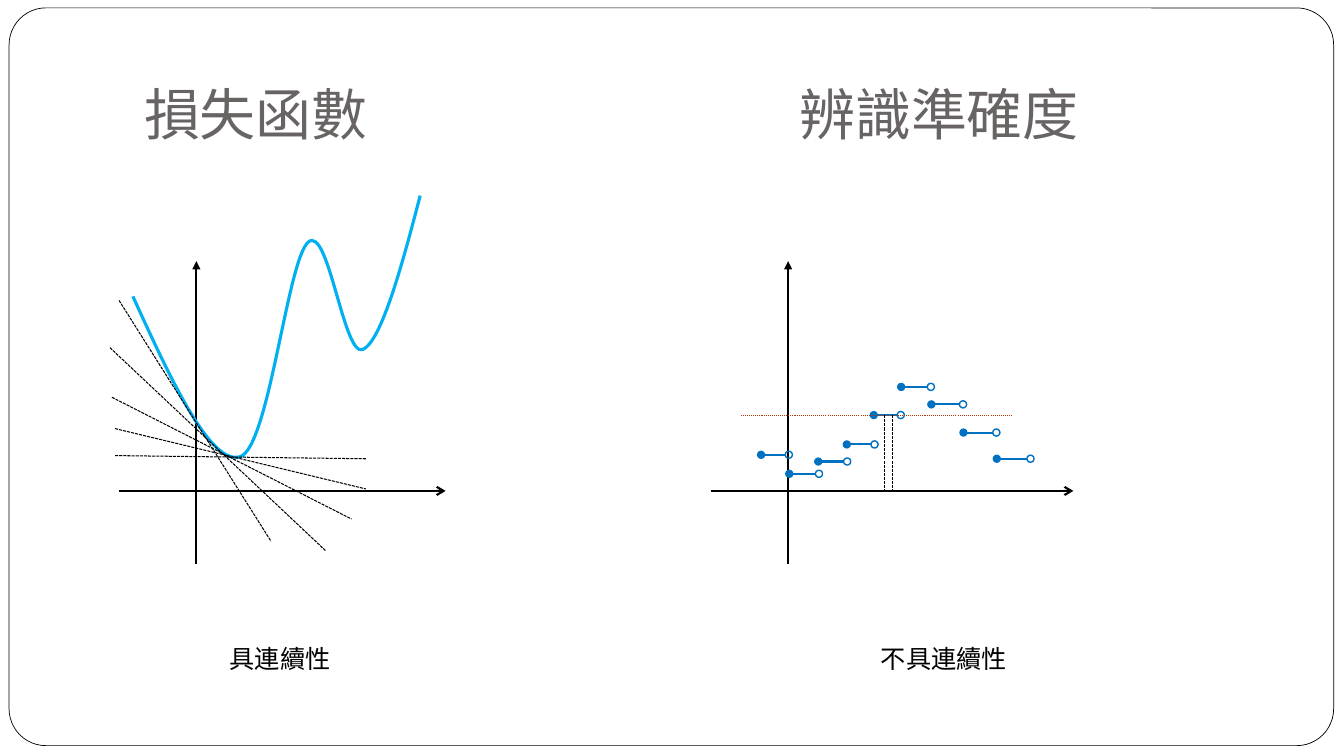
from lxml import etree
from pptx import Presentation
from pptx.dml.color import RGBColor
from pptx.enum.dml import MSO_LINE
from pptx.enum.shapes import MSO_CONNECTOR, MSO_SHAPE
from pptx.enum.text import MSO_ANCHOR, MSO_AUTO_SIZE, PP_ALIGN
from pptx.oxml.ns import qn
from pptx.util import Cm, Pt

STRAIGHT = MSO_CONNECTOR.STRAIGHT
DASH, DOT = MSO_LINE.SQUARE_DOT, MSO_LINE.ROUND_DOT
COLORS = {"black": "000000", "white": "FFFFFF", "heading": "696464",
          "curve": "00B0F0", "step": "0070C0", "level": "B1360B"}


def draw_line(group, ends, color="black", width=1.5, dash=None, head=None, tail=None):
    line = group.shapes.add_connector(STRAIGHT, *[Cm(value) for value in ends])
    line.line.color.rgb = RGBColor.from_string(COLORS[color])
    line.line.width = Pt(width)
    if dash:
        line.line.dash_style = dash
    for tag, kind in (("a:headEnd", head), ("a:tailEnd", tail)):
        if kind:
            etree.SubElement(line.line._get_or_add_ln(), qn(tag)).set("type", kind)
    etree.SubElement(line.element.spPr, qn("a:effectLst"))


def write_text(box, text, size, font, color, frame_format):
    for name, value in frame_format.items():
        setattr(box.text_frame, name, value)
    para = box.text_frame.paragraphs[0]
    para.alignment = PP_ALIGN.LEFT
    span = para.add_run()
    span.text = text
    span.font.size, span.font.name = Pt(size), font
    span.font.color.rgb = RGBColor.from_string(COLORS[color])


deck = Presentation()
deck.slide_width, deck.slide_height = Cm(33.87), Cm(19.05)
page = deck.slides.add_slide(deck.slide_layouts[5])
title = page.shapes.title

# Rounded frame behind everything
frame = page.shapes.add_shape(MSO_SHAPE.ROUNDED_RECTANGLE, Cm(0.23), Cm(0.2), Cm(33.38), Cm(18.59))
frame.adjustments[0] = 0.05
frame.shadow.inherit = False
frame.fill.solid()
frame.fill.fore_color.rgb = RGBColor.from_string(COLORS["white"])
frame.line.color.rgb = RGBColor.from_string(COLORS["black"])
frame.line.width = Pt(0.5)
title.element.addprevious(frame.element)

# Headings
heading_format = {"word_wrap": True, "auto_size": MSO_AUTO_SIZE.NONE,
                  "vertical_anchor": MSO_ANCHOR.BOTTOM, "margin_left": Cm(0.25),
                  "margin_right": Cm(0.25), "margin_top": Cm(0.13), "margin_bottom": Cm(0.25)}
title.left, title.top, title.width, title.height = Cm(3.38), Cm(0.76), Cm(7.24), Cm(3.18)
accuracy_heading = page.shapes.add_textbox(Cm(19.89), Cm(0.76), Cm(8.23), Cm(3.18))
for box, text in ((title, "損失函數"), (accuracy_heading, "辨識準確度")):
    write_text(box, text, 40, "Cabin", "heading", heading_format)

# Axes of both graphs
AXIS_Y = 12.37
loss_graph = page.shapes.add_group_shape()
accuracy_graph = page.shapes.add_group_shape()
for graph, left, right, origin in ((loss_graph, 3, 11.23, 4.95),
                                   (accuracy_graph, 17.91, 27.05, 19.86)):
    draw_line(graph, (left, AXIS_Y, right, AXIS_Y), tail="arrow")
    draw_line(graph, (origin, 14.22, origin, 6.58), tail="triangle")

# Loss curve: each segment holds two control points and an end point
curve_start = (3.35, 7.47)
curve_segments = [
    ((4.32, 9.6), (5.31, 11.73), (6.05, 11.51)),
    ((6.78, 11.28), (7.24, 6.55), (7.77, 6.1)),
    ((8.28, 5.66), (8.66, 8.99), (9.14, 8.81)),
    ((9.6, 8.61), (10.11, 6.78), (10.59, 4.93)),
]
builder = loss_graph.shapes.build_freeform(Cm(curve_start[0]), Cm(curve_start[1]))
builder.add_line_segments([(Cm(x), Cm(y)) for *_, (x, y) in curve_segments], close=False)
curve = builder.convert_to_shape()
curve.shadow.inherit = False
curve.fill.background()
curve.line.color.rgb = RGBColor.from_string(COLORS["curve"])
curve.line.width = Pt(2.25)
# Turn the straight segments into Bézier segments
for segment, points in zip(list(curve.element.iter(qn("a:lnTo"))), curve_segments):
    segment.tag = qn("a:cubicBezTo")
    for index, (x, y) in enumerate(points[:2]):
        control = etree.Element(qn("a:pt"), x=str(Cm(x) - curve.left), y=str(Cm(y) - curve.top))
        segment.insert(index, control)

# Tangents
for tangent in ((3, 7.57, 6.83, 13.64), (2.77, 8.76, 8.2, 13.87), (2.82, 10.01, 8.86, 13.08),
                (2.9, 10.8, 9.22, 12.32), (2.9, 11.48, 9.22, 11.56)):
    draw_line(loss_graph, tangent, width=0.75, dash=DASH)

# Accuracy steps: closed left end, open right end
RING = 0.18
steps = [(19.18, 19.79, 11.46), (19.89, 20.55, 11.94), (20.62, 21.26, 11.63),
         (21.34, 21.95, 11.2), (22.02, 22.61, 10.46), (22.71, 23.37, 9.75),
         (23.47, 24.18, 10.19), (24.28, 25.02, 10.9), (25.12, 25.88, 11.56)]
for left, right, y in steps:
    draw_line(accuracy_graph, (left, y, right, y), "step", head="oval")
    ring = accuracy_graph.shapes.add_shape(MSO_SHAPE.OVAL, Cm(right), Cm(y - RING / 2),
                                           Cm(RING), Cm(RING))
    ring.shadow.inherit = False
    ring.fill.background()
    ring.line.color.rgb = RGBColor.from_string(COLORS["step"])
    ring.line.width = Pt(1)

# Level of the middle step and its drops to the axis
level = steps[4][2]
draw_line(accuracy_graph, (18.67, level, 25.5, level), "level", 0.75, DOT)
for x in (22.28, 22.48):
    draw_line(accuracy_graph, (x, level, x, AXIS_Y), width=0.75, dash=DASH)

# Captions
caption_format = {"word_wrap": False, "auto_size": MSO_AUTO_SIZE.SHAPE_TO_FIT_TEXT}
for text, left, width in (("具連續性", 5.54, 3.07), ("不具連續性", 21.95, 3.71)):
    caption = page.shapes.add_textbox(Cm(left), Cm(16.08), Cm(width), Cm(1.02))
    write_text(caption, text, 18, "Times New Roman", "black", caption_format)

deck.save("out.pptx")
